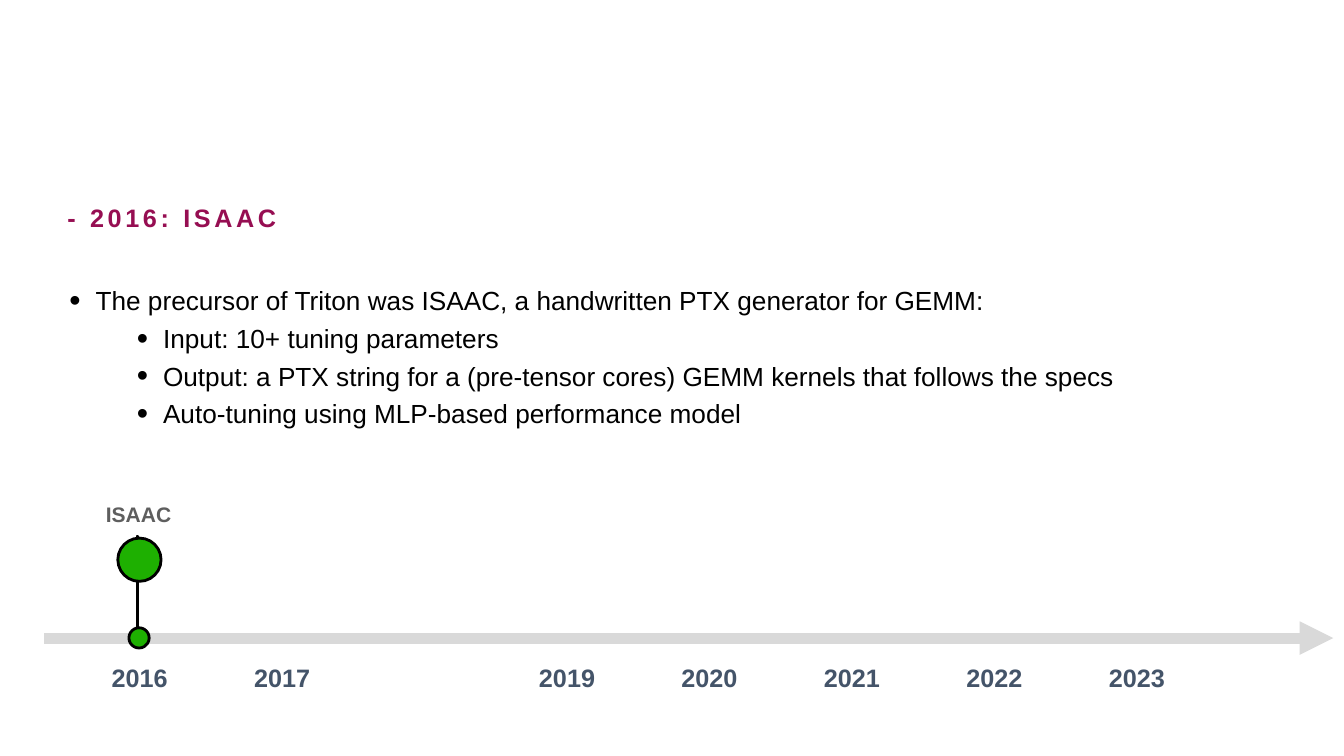
"""Build a timeline slide about the ISAAC kernel generator."""
import pptx
import pptx.dml.color
import pptx.enum.shapes
import pptx.enum.text
import pptx.oxml
import pptx.oxml.ns
import pptx.util

Cm = pptx.util.Cm
Pt = pptx.util.Pt
RGBColor = pptx.dml.color.RGBColor
Align = pptx.enum.text.PP_ALIGN
Anchor = pptx.enum.text.MSO_ANCHOR
Kind = pptx.enum.shapes.MSO_SHAPE

PLUM = RGBColor(0x96, 0x0E, 0x52)
BLACK = RGBColor(0, 0, 0)
GREEN = RGBColor(0x1E, 0xB0, 0x01)
SILVER = RGBColor(0xD9, 0xD9, 0xD9)
GRAY = RGBColor(0x5E, 0x5E, 0x5E)
SLATE = RGBColor(0x44, 0x54, 0x69)

TITLE = "- 2016: ISAAC"
POINTS = [
    (0, "The precursor of Triton was ISAAC, a handwritten PTX generator for GEMM:"),
    (1, "Input: 10+ tuning parameters"),
    (1, "Output: a PTX string for a (pre-tensor cores) GEMM kernels that follows the specs"),
    (1, "Auto-tuning using MLP-based performance model"),
]
LABEL = "ISAAC"
YEARS = [2016, 2017, 2019, 2020, 2021, 2022, 2023]
FIRST, STEP = 2.67, 3.59
MARKS = [
    (Kind.RECTANGLE, (3.45, 13.51, 0.03, 2.44), 1),
    (Kind.OVAL, (3.25, 15.82, 0.51, 0.51), 2),
    (Kind.OVAL, (2.97, 13.56, 1.09, 1.09), 2),
]
HEAD = {"name": "Arial", "size": Pt(18), "bold": True}
BODY = {"name": "Arial", "size": Pt(18.7), "bold": False}
NOTE = {"name": "Arial", "size": Pt(15), "bold": True}


def node(host, tag, **attrs):
    """Append a drawing element with attributes."""
    item = pptx.oxml.ns.qn("a:" + tag)
    child = host.makeelement(item, attrs)
    host.append(child)
    return child


def write(slide, box, lines, font, color, pad=0, wrap=True,
          align=Align.LEFT, anchor=Anchor.TOP):
    """Add a text box and return its paragraphs."""
    frame = slide.shapes.add_textbox(*map(Cm, box)).text_frame
    style = {"word_wrap": wrap, "vertical_anchor": anchor,
             "auto_size": pptx.enum.text.MSO_AUTO_SIZE.SHAPE_TO_FIT_TEXT}
    for side in ("left", "top", "right", "bottom"):
        style["margin_" + side] = Cm(pad)
    for key, value in style.items():
        setattr(frame, key, value)
    frame.text = "\n".join(lines)
    for para in frame.paragraphs:
        para.alignment = align
        run = para.runs[0]
        for key, value in font.items():
            setattr(run.font, key, value)
        run.font.color.rgb = color
    return frame.paragraphs


def bullet(para, level):
    """Give a paragraph its level, indent and bullet."""
    para.level = level
    para.line_spacing = 1.2
    props = para._p.get_or_add_pPr()
    props.set("marL", str(Cm(0.66 + 1.7 * level)))
    props.set("indent", str(Cm(-0.66)))
    node(props, "buSzPct", val="123000")
    node(props, "buFont", typeface="Arial")
    node(props, "buChar", char="•")


def axis(slide):
    """Draw the time arrow."""
    ends = map(Cm, (33.6, 16.08, 1.12, 16.08))
    line = slide.shapes.add_connector(
        pptx.enum.shapes.MSO_CONNECTOR.STRAIGHT, *ends)
    line.line.color.rgb = SILVER
    line.line.width = Pt(8)
    node(line.line._get_or_add_ln(), "headEnd", type="triangle")
    node(line._element.spPr, "effectLst")


def mark(slide, kind, box, width):
    """Draw one part of the pin."""
    shape = slide.shapes.add_shape(kind, *map(Cm, box))
    shape.shadow.inherit = False
    shape.fill.solid()
    shape.fill.fore_color.rgb = GREEN
    shape.line.color.rgb = BLACK
    shape.line.width = Pt(width)


def main():
    """Build and save the slide."""
    deck = pptx.Presentation()
    deck.slide_width, deck.slide_height = Cm(33.87), Cm(19.05)
    slide = deck.slides.add_slide(deck.slide_layouts[6])

    title = write(slide, (1.7, 5.11, 15.24, 0.79), [TITLE], HEAD, PLUM)
    title[0].runs[0].font._element.set("spc", "260")

    lines = [text for _, text in POINTS]
    paras = write(slide, (1.6, 6.86, 27.64, 3.81), lines, BODY, BLACK, 0.15)
    for para, (level, _) in zip(paras, POINTS):
        bullet(para, level)

    axis(slide)
    for kind, box, width in MARKS:
        mark(slide, kind, box, width)

    write(slide, (2.54, 12.52, 1.93, 0.89), [LABEL], NOTE, GRAY, 0.13,
          wrap=False, anchor=Anchor.MIDDLE)
    for year in YEARS:
        left = FIRST + STEP * (year - YEARS[0])
        write(slide, (left, 16.56, 1.7, 1.04), [str(year)], HEAD, SLATE, 0.13,
              wrap=False, align=Align.CENTER)

    deck.save("out.pptx")


if __name__ == "__main__":
    main()
